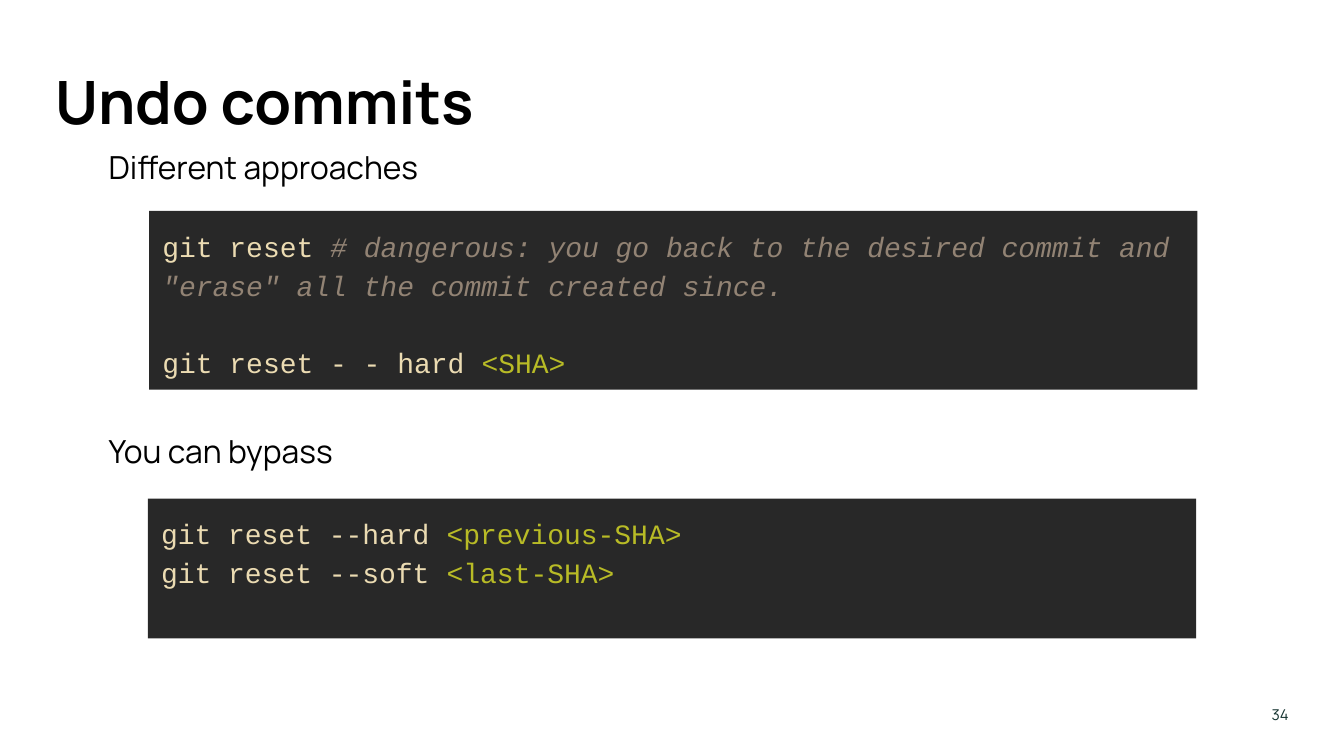
from pptx import Presentation
from pptx.dml.color import RGBColor
from pptx.enum.shapes import MSO_SHAPE
from pptx.enum.text import MSO_ANCHOR, MSO_AUTO_SIZE, PP_ALIGN
from pptx.util import Inches, Pt

RECT = MSO_SHAPE.RECTANGLE
TOP, MIDDLE = MSO_ANCHOR.TOP, MSO_ANCHOR.MIDDLE
LEFT, RIGHT = PP_ALIGN.LEFT, PP_ALIGN.RIGHT
NONE = MSO_AUTO_SIZE.NONE

COLORS = {
    "black": "000000",
    "page": "11302D",
    "panel": "282828",
    "code": "EBDBB2",
    "note": "928374",
    "value": "B8BB26",
}


class Deck:
    sans = "Manrope"
    mono = "Courier New"

    def __init__(self):
        self.prs = Presentation()
        # Wide page, 16 by 9
        self.prs.slide_width = Inches(10)
        self.prs.slide_height = Inches(10 * 9 / 16)
        self.slide = self.prs.slides.add_slide(self.prs.slide_layouts[5])

    def color(self, name):
        return RGBColor.from_string(COLORS[name])

    def style(self, run, font, size, color, bold=False, italic=False):
        run.font.name = font
        run.font.size = Pt(size)
        run.font.color.rgb = self.color(color)
        run.font.bold = bold
        run.font.italic = italic

    def frame(self, shape, inset, anchor=TOP):
        frame = shape.text_frame
        frame.word_wrap = True
        frame.auto_size = NONE
        frame.vertical_anchor = anchor
        frame.margin_left = frame.margin_right = Inches(inset)
        frame.margin_top = frame.margin_bottom = Inches(inset)
        return frame

    def title(self, text, x, y, w, h):
        shape = self.slide.shapes.title
        shape.left, shape.top = Inches(x), Inches(y)
        shape.width, shape.height = Inches(w), Inches(h)
        frame = self.frame(shape, 0)
        frame.text = text
        para = frame.paragraphs[0]
        para.alignment = LEFT
        para.line_spacing = 1.15
        self.style(para.runs[0], self.sans, 32, "black", bold=True)

    def label(self, text, x, y, w, h, size=17, color="black",
              inset=0.1, align=LEFT, anchor=TOP):
        box = self.slide.shapes.add_textbox(
            Inches(x), Inches(y), Inches(w), Inches(h))
        frame = self.frame(box, inset, anchor)
        frame.text = text
        para = frame.paragraphs[0]
        para.alignment = align
        self.style(para.runs[0], self.sans, size, color)

    def code(self, lines, x, y, w, h, gap=0):
        panel = self.slide.shapes.add_shape(
            RECT, Inches(x), Inches(y), Inches(w), Inches(h))
        panel.shadow.inherit = False
        panel.fill.solid()
        panel.fill.fore_color.rgb = self.color("panel")
        panel.line.fill.background()
        frame = self.frame(panel, 0.1)
        for i, parts in enumerate(lines):
            para = frame.add_paragraph() if i else frame.paragraphs[0]
            para.alignment = LEFT
            para.line_spacing = 1.15
            if i and gap:
                para.space_before = Pt(gap)
            for text, color in parts:
                run = para.add_run()
                run.text = text
                self.style(run, self.mono, 15, color, italic=color == "note")


def main():
    deck = Deck()

    # Heading
    deck.title("Undo commits", 0.41, 0.4, 6.85, 0.54)

    # Reset and its danger
    deck.label("Different approaches", 0.71, 1, 9.12, 0.49)
    deck.code([
        [("git reset ", "code"),
         ('# dangerous: you go back to the desired commit and "erase" '
          "all the commit created since.", "note")],
        [("git reset - - hard ", "code"), ("<SHA>", "value")],
    ], 1.11, 1.57, 7.8, 1.33, gap=21)

    # Way around it
    deck.label("You can bypass", 0.71, 3.11, 9.12, 0.49)
    deck.code([
        [("git reset --hard ", "code"), ("<previous-SHA>", "value")],
        [("git reset --soft ", "code"), ("<last-SHA>", "value")],
    ], 1.1, 3.71, 7.8, 1.04)

    # Page number
    deck.label("34", 8.91, 5.22, 0.68, 0.19, size=8, color="page",
               inset=0, align=RIGHT, anchor=MIDDLE)

    deck.prs.save("out.pptx")


if __name__ == "__main__":
    main()
